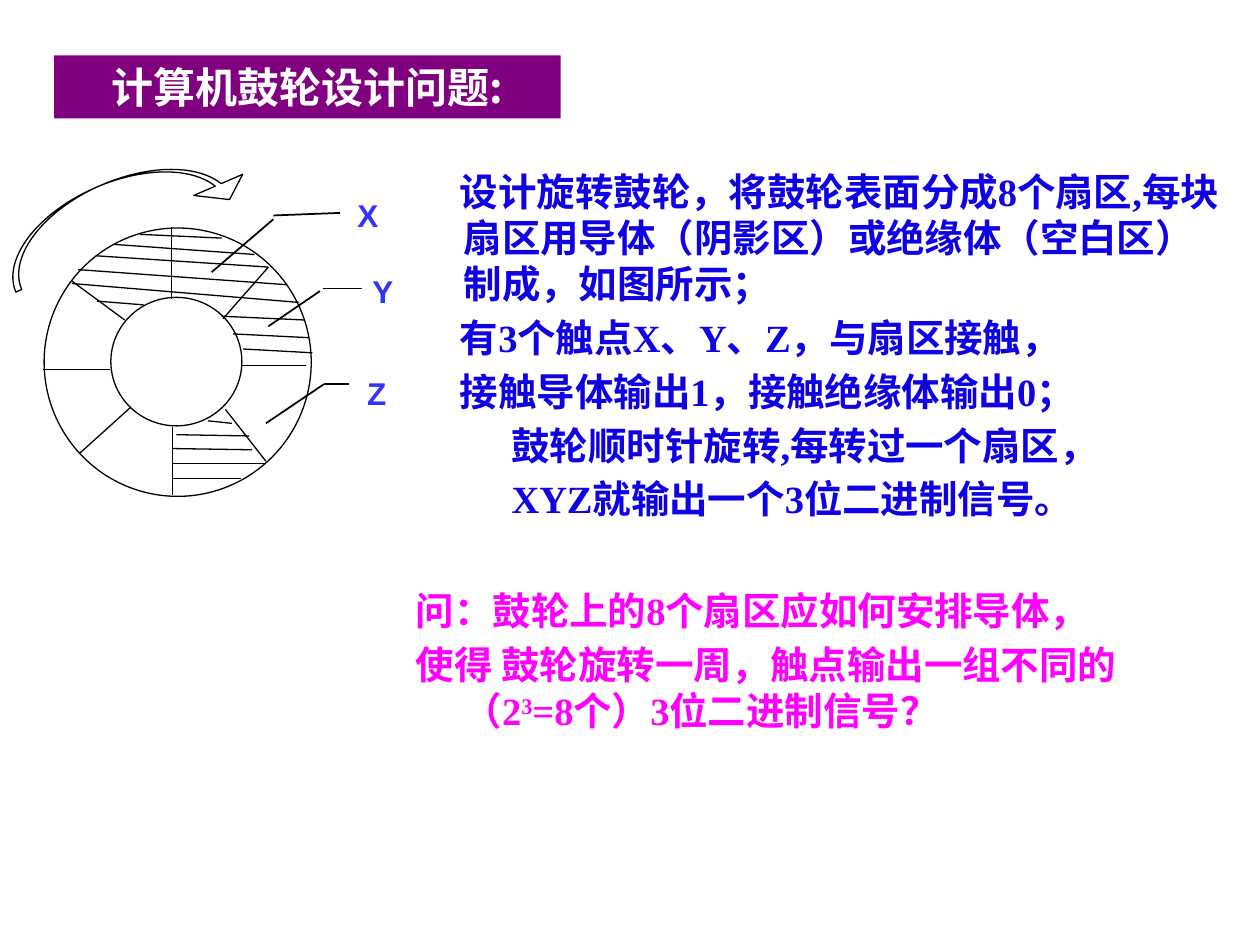
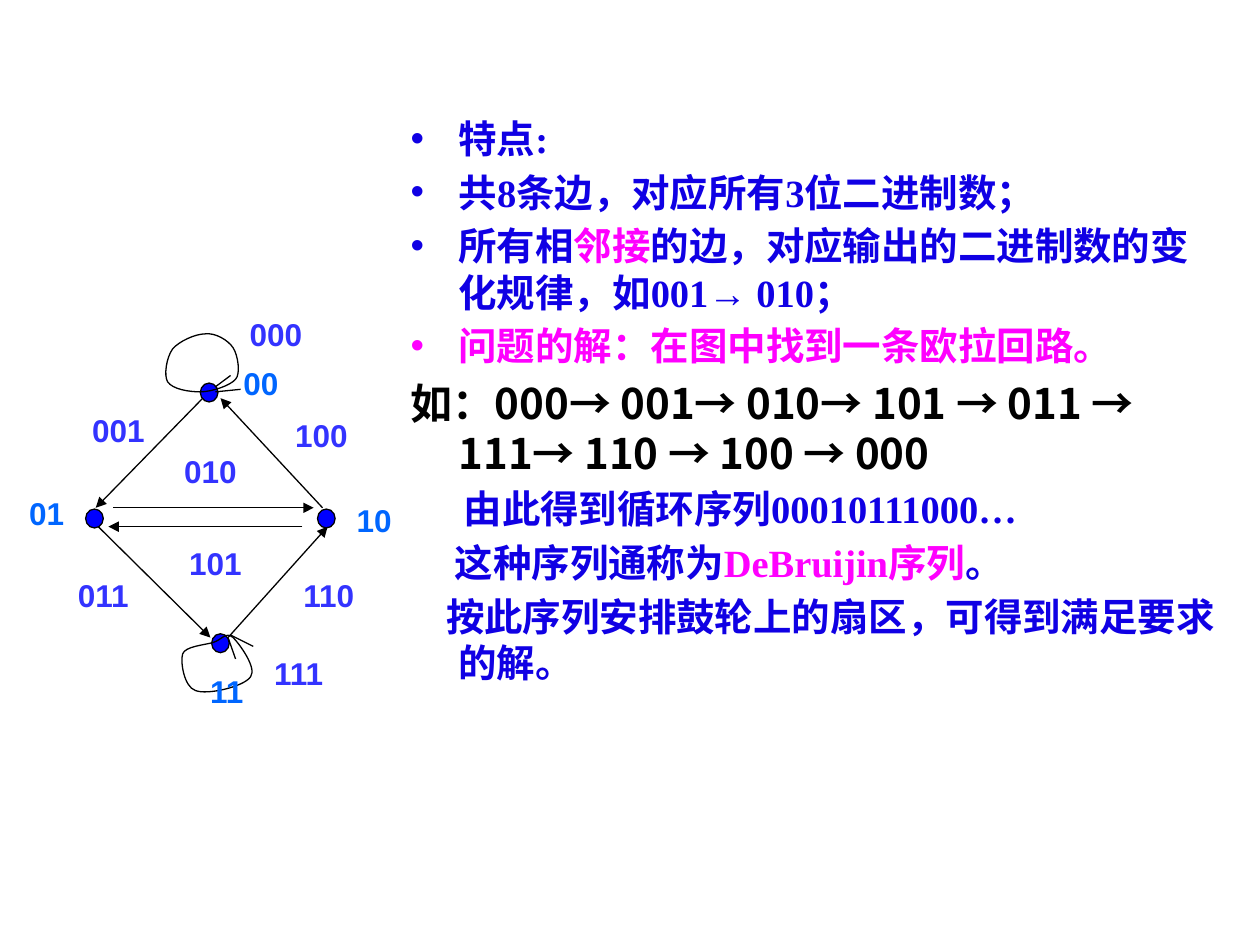
import dataclasses
import typing

import lxml.etree
import pptx
import pptx.dml.color
import pptx.enum.shapes
import pptx.enum.text
import pptx.oxml.ns
import pptx.util

EMU_PER_PX = 9144  # 100 px to the inch
Point = tuple[int, int]
Box = tuple[int, int, int, int]
qn = pptx.oxml.ns.qn


@dataclasses.dataclass(frozen=True)
class Theme:
    blue: str = "1000E4"
    magenta: str = "FF00FF"
    black: str = "000000"
    white: str = "FFFFFF"
    band: str = "800080"
    label: str = "3333FF"
    node_label: str = "0066FF"
    node: str = "0000FF"
    body_font: str = "Times New Roman"
    heading_font: str = "Noto Sans CJK SC"
    label_font: str = "Arial"
    heading_size: int = 24
    body_size: int = 22
    label_size: int = 18
    thin: float = 0.75
    pointer: float = 1


THEME = Theme()


class Run(typing.NamedTuple):
    text: str
    color: str | None = None
    superscript: bool = False
    east_asian_font: str | None = None


@dataclasses.dataclass(frozen=True)
class Item:
    runs: tuple[Run, ...]
    color: str = THEME.blue
    font: str = THEME.body_font
    size: int = THEME.body_size
    indent: int = -38
    bullet: bool = False
    extra_space: int = 0


class Label(typing.NamedTuple):
    text: str
    left: int
    top: int
    width: int
    color: str = THEME.label


class Segment(typing.NamedTuple):
    x1: int
    y1: int
    x2: int
    y2: int


def px(value: float) -> pptx.util.Emu:
    return pptx.util.Emu(round(value * EMU_PER_PX))


def rgb(color: str) -> pptx.dml.color.RGBColor:
    return pptx.dml.color.RGBColor.from_string(color)


def place(shape, box: Box) -> None:
    shape.left, shape.top, shape.width, shape.height = map(px, box)


def set_east_asian(properties, name: str) -> None:
    lxml.etree.SubElement(properties, qn("a:ea")).set("typeface", name)


def set_font(paragraph, name: str, size: int, color: str) -> None:
    font = paragraph.font
    font.name, font.size, font.bold = name, pptx.util.Pt(size), True
    font.color.rgb = rgb(color)
    set_east_asian(paragraph._p.pPr.find(qn("a:defRPr")), THEME.heading_font)


def style_outline(shape, fill: str | None = None) -> None:
    shape.shadow.inherit = False
    if fill:
        shape.fill.solid()
        shape.fill.fore_color.rgb = rgb(fill)
    else:
        shape.fill.background()
    shape.line.color.rgb = rgb(THEME.black)
    shape.line.width = pptx.util.Pt(THEME.thin)


def add_outline(slide, kind, box: Box, fill: str | None = None):
    shape = slide.shapes.add_shape(kind, *map(px, box))
    style_outline(shape, fill)
    return shape


def add_line(slide, segment: Segment, width: float = THEME.thin, arrow: bool = False) -> None:
    line = slide.shapes.add_connector(
        pptx.enum.shapes.MSO_CONNECTOR.STRAIGHT, *map(px, segment))
    line.line.color.rgb = rgb(THEME.black)
    line.line.width = pptx.util.Pt(width)
    if arrow:
        outline = line.line._get_or_add_ln()
        lxml.etree.SubElement(outline, qn("a:tailEnd")).set("type", "triangle")
    lxml.etree.SubElement(line._element.spPr, qn("a:effectLst"))


def add_label(slide, label: Label) -> None:
    box = (label.left, label.top, label.width, 30)
    frame = slide.shapes.add_textbox(*map(px, box)).text_frame
    frame.word_wrap = True
    frame.margin_left = frame.margin_right = frame.margin_top = frame.margin_bottom = 0
    paragraph = frame.paragraphs[0]
    paragraph.text = label.text
    paragraph.alignment = pptx.enum.text.PP_ALIGN.CENTER
    set_font(paragraph, THEME.label_font, THEME.label_size, label.color)


def add_loop(slide, points: list[Point]) -> None:
    """Draw a closed chain of cubic curves: a start, then three points a curve."""
    start, *rest = [(px(x), px(y)) for x, y in points]
    builder = slide.shapes.build_freeform(*start, scale=1.0)
    builder.add_line_segments(rest, close=True)
    shape = builder.convert_to_shape()
    # Each three straight steps become one cubic curve
    steps = list(shape._element.iter(qn("a:lnTo")))[:len(rest)]
    for first in range(0, len(steps), 3):
        curve = lxml.etree.Element(qn("a:cubicBezTo"))
        steps[first].addprevious(curve)
        for step in steps[first:first + 3]:
            curve.append(step[0])
            step.getparent().remove(step)
    style_outline(shape)


def fill_title(slide, text: str, box: Box) -> None:
    title = slide.shapes.title
    place(title, box)
    title.fill.solid()
    title.fill.fore_color.rgb = rgb(THEME.band)
    frame = title.text_frame
    frame.text = text
    frame.word_wrap = True
    frame.auto_size = pptx.enum.text.MSO_AUTO_SIZE.NONE
    frame.vertical_anchor = pptx.enum.text.MSO_ANCHOR.MIDDLE
    frame.paragraphs[0].alignment = pptx.enum.text.PP_ALIGN.CENTER
    set_font(frame.paragraphs[0], THEME.heading_font, THEME.heading_size, THEME.white)


def fill_body(slide, box: Box, items: list[Item]) -> None:
    body = slide.placeholders[1]
    place(body, box)
    frame = body.text_frame
    frame.word_wrap = True
    frame.auto_size = pptx.enum.text.MSO_AUTO_SIZE.NONE
    for index, item in enumerate(items):
        paragraph = frame.add_paragraph() if index else frame.paragraphs[0]
        properties = paragraph._p.get_or_add_pPr()
        properties.set("marL", str(px(38)))
        properties.set("indent", str(px(item.indent)))
        if item.bullet:
            lxml.etree.SubElement(properties, qn("a:buFont")).set("typeface", "Arial")
            lxml.etree.SubElement(properties, qn("a:buChar")).set("char", "•")
        else:
            lxml.etree.SubElement(properties, qn("a:buNone"))
        paragraph.line_spacing = pptx.util.Pt(item.size * 1.2)
        paragraph.space_before = pptx.util.Pt(
            item.size * 0.2 + item.extra_space if index else 0)
        set_font(paragraph, item.font, item.size, item.color)
        for part in item.runs:
            run = paragraph.add_run()
            run.text = part.text
            if part.color:
                run.font.color.rgb = rgb(part.color)
            if part.superscript:
                run._r.get_or_add_rPr().set("baseline", "30000")
            if part.east_asian_font:
                set_east_asian(run._r.get_or_add_rPr(), part.east_asian_font)


# Drum wheel
SECTOR_LINES = [
    Segment(34, 293, 87, 293), Segment(191, 290, 243, 290),
    Segment(136, 180, 136, 237), Segment(137, 339, 137, 393),
    Segment(177, 253, 213, 212), Segment(99, 254, 57, 223),
    Segment(104, 323, 63, 360), Segment(179, 325, 211, 366),
]
HATCH_LINES = [
    Segment(111, 186, 176, 189), Segment(91, 194, 202, 202),
    Segment(76, 203, 213, 212), Segment(62, 214, 228, 226),
    Segment(57, 225, 237, 240), Segment(77, 239, 114, 242),
    Segment(176, 251, 242, 254), Segment(185, 265, 245, 268),
    Segment(193, 277, 248, 280), Segment(165, 334, 184, 336),
    Segment(140, 345, 198, 346), Segment(137, 356, 200, 357),
    Segment(137, 368, 210, 368), Segment(137, 380, 191, 380),
]
CONTACT_LINES = [
    Segment(168, 216, 217, 174), Segment(213, 259, 254, 231),
    Segment(211, 336, 257, 305), Segment(217, 171, 270, 169),
    Segment(256, 229, 287, 229), Segment(257, 305, 277, 305),
]
CONTACTS = [Label("X", 275, 156, 34), Label("Y", 287, 216, 34), Label("Z", 282, 297, 34)]
DRUM_TEXT = [
    Item((Run("设计旋转鼓轮，将鼓轮表面分成8个扇区,每块扇区用导体（阴影区）"
              "或绝缘体（空白区）制成，如图所示；"),), indent=-3),
    Item((Run("有3个触点X、Y、Z，与扇区接触，"),), indent=-3),
    Item((Run("接触导体输出1，接触绝缘体输出0；"),), indent=-3),
    Item((Run("鼓轮顺时针旋转,每转过一个扇区，"),), indent=38),
    Item((Run("XYZ就输出一个3位二进制信号。"),), indent=38),
    Item((Run("问：鼓轮上的8个扇区应如何安排导体，"),), THEME.magenta, extra_space=33),
    Item((Run("使得 鼓轮旋转一周，触点输出一组不同的（2"), Run("3", superscript=True),
          Run("=8个）3位二进制信号？")), THEME.magenta),
]

# State graph
NODES = [(159, 304), (168, 503), (68, 404), (252, 404)]
EDGES = [
    Segment(161, 316, 76, 403), Segment(78, 418, 167, 506),
    Segment(181, 506, 260, 418), Segment(256, 403, 175, 316),
    Segment(90, 403, 249, 403), Segment(240, 418, 86, 418),
]
LOOPS = [
    [(159, 311), (150, 311), (137, 309), (133, 303), (130, 298), (132, 284), (137, 277),
     (142, 271), (155, 265), (163, 265), (171, 264), (181, 270), (185, 276),
     (189, 282), (191, 297), (187, 301), (183, 306), (168, 311), (159, 311)],
    [(169, 510), (162, 512), (147, 513), (145, 519), (143, 525), (146, 545), (155, 548),
     (164, 552), (194, 545), (199, 537), (204, 530), (190, 511), (185, 506),
     (179, 501), (176, 508), (169, 510)],
]
LOOP_BARBS = [
    Segment(171, 307, 183, 298), Segment(171, 311, 191, 309),
    Segment(181, 506, 187, 523), Segment(183, 504, 201, 513),
]
GRAPH_LABELS = [
    Label("00", 187, 289, 40, THEME.node_label), Label("10", 277, 398, 40, THEME.node_label),
    Label("01", 17, 392, 40, THEME.node_label), Label("11", 160, 533, 40, THEME.node_label),
    Label("001", 66, 326, 56), Label("011", 54, 457, 56),
    Label("110", 233, 457, 56), Label("100", 227, 330, 56),
    Label("000", 191, 250, 56), Label("111", 209, 519, 56),
    Label("010", 139, 359, 56), Label("101", 143, 432, 56),
]
GRAPH_TEXT = [
    Item((Run("特点:"),), bullet=True),
    Item((Run("共8条边，对应所有3位二进制数；"),), bullet=True),
    Item((Run("所有相"), Run("邻接", THEME.magenta),
          Run("的边，对应输出的二进制数的变化规律，如001"),
          Run("→", east_asian_font=THEME.body_font), Run(" 010；")), bullet=True),
    Item((Run("问题的解：在图中找到一条欧拉回路。"),), THEME.magenta, bullet=True),
    Item((Run("如：000→ 001→ 010→ 101 → 011 → 111→ 110 → 100 → 000"),),
         THEME.black, THEME.heading_font, THEME.heading_size),
    Item((Run("由此得到循环序列00010111000…"),), indent=4),
    Item((Run("这种序列通称为"), Run("DeBruijin序列", THEME.magenta), Run("。")), indent=-3),
    Item((Run("按此序列安排鼓轮上的扇区，可得到满足要求的解。"),), indent=-10),
]


def build_drum_slide(slide) -> None:
    shapes = pptx.enum.shapes.MSO_SHAPE
    fill_title(slide, "计算机鼓轮设计问题:", (43, 44, 402, 50))
    fill_body(slide, (320, 128, 663, 610), DRUM_TEXT)
    for ring in ((35, 181, 212, 213), (88, 236, 104, 102)):
        add_outline(slide, shapes.OVAL, ring)
    for segment in SECTOR_LINES + HATCH_LINES:
        add_line(slide, segment)
    for segment in CONTACT_LINES:
        add_line(slide, segment, THEME.pointer)
    rotation_arrow = add_outline(slide, shapes.CURVED_DOWN_ARROW, (-6, 142, 206, 51))
    rotation_arrow.rotation = 336.6
    for index, value in enumerate((0.1, 0.83, 0.28)):
        rotation_arrow.adjustments[index] = value
    for label in CONTACTS:
        add_label(slide, label)


def build_graph_slide(slide) -> None:
    title = slide.shapes.title._element
    title.getparent().remove(title)
    fill_body(slide, (316, 86, 661, 510), GRAPH_TEXT)
    for left, top in NODES:
        add_outline(slide, pptx.enum.shapes.MSO_SHAPE.OVAL, (left, top, 14, 15), THEME.node)
    for edge in EDGES:
        add_line(slide, edge, arrow=True)
    for loop in LOOPS:
        add_loop(slide, loop)
    for barb in LOOP_BARBS:
        add_line(slide, barb)
    for label in GRAPH_LABELS:
        add_label(slide, label)


def main() -> None:
    presentation = pptx.Presentation()
    presentation.slide_width, presentation.slide_height = px(1000), px(750)
    for build in (build_drum_slide, build_graph_slide):
        build(presentation.slides.add_slide(presentation.slide_layouts[1]))
    presentation.save("out.pptx")


if __name__ == "__main__":
    main()
